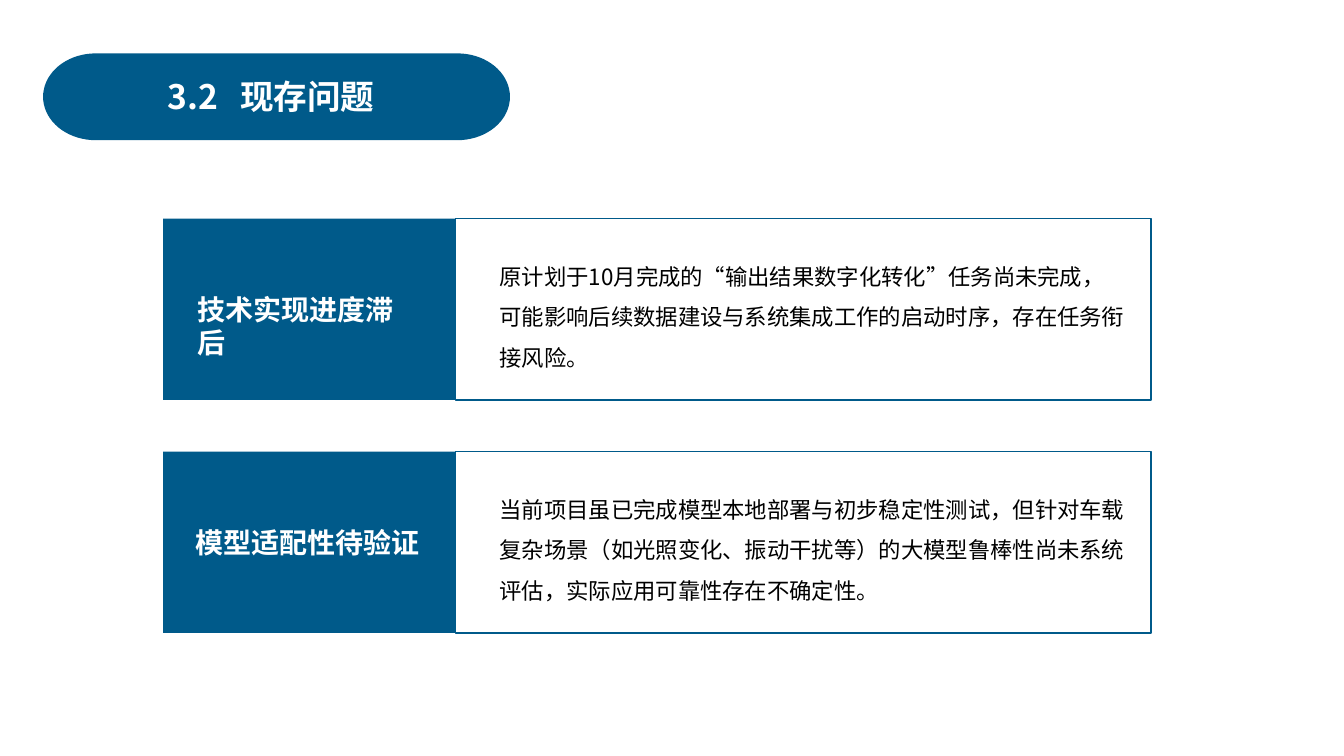
from dataclasses import dataclass
from math import cos, radians, sin

from lxml import etree
from pptx import Presentation
from pptx.dml.color import RGBColor
from pptx.enum.shapes import MSO_SHAPE
from pptx.enum.text import MSO_ANCHOR, MSO_AUTO_SIZE, PP_ALIGN
from pptx.oxml.ns import qn
from pptx.util import Cm, Pt

RECTANGLE = MSO_SHAPE.RECTANGLE
TOP = MSO_ANCHOR.TOP
LEFT = PP_ALIGN.LEFT
GROW = MSO_AUTO_SIZE.SHAPE_TO_FIT_TEXT


@dataclass(frozen=True)
class Theme:
    font: str = "Noto Sans CJK SC"
    blue: RGBColor = RGBColor(0x00, 0x5A, 0x8A)
    white: RGBColor = RGBColor(0xFF, 0xFF, 0xFF)
    black: RGBColor = RGBColor(0x00, 0x00, 0x00)
    title_size: int = 24
    label_size: int = 20
    body_size: int = 16


class SlideBuilder:
    def __init__(self, slide, theme):
        self.slide = slide
        self.theme = theme

    def paint(self, shape, fill, line=None, line_width=1):
        shape.shadow.inherit = False
        shape.fill.solid()
        shape.fill.fore_color.rgb = fill
        if line is None:
            shape.line.fill.background()
        else:
            shape.line.color.rgb = line
            shape.line.width = Pt(line_width)

    def panel(self, left, top, width, height, fill, line=None):
        shape = self.slide.shapes.add_shape(
            RECTANGLE, Cm(left), Cm(top), Cm(width), Cm(height))
        self.paint(shape, fill, line)

    def pill(self, left, top, width, height, end_width):
        """Bar whose two ends are half ellipses."""
        middle = top + height / 2
        points = []
        for center, start in ((left + width - end_width, -90),
                              (left + end_width, 90)):
            for angle in range(start, start + 181, 5):
                x = center + end_width * cos(radians(angle))
                y = middle + height / 2 * sin(radians(angle))
                points.append((Cm(x), Cm(y)))
        builder = self.slide.shapes.build_freeform(*points[0])
        builder.add_line_segments(points[1:], close=True)
        self.paint(builder.convert_to_shape(), self.theme.blue, self.theme.blue, 3)

    def text(self, left, top, width, height, words, size, color,
             bold=False, line_spacing=None, tab=None):
        box = self.slide.shapes.add_textbox(
            Cm(left), Cm(top), Cm(width), Cm(height))
        frame = box.text_frame
        frame_format = {"word_wrap": True, "auto_size": GROW,
                        "vertical_anchor": TOP}
        for name, value in frame_format.items():
            setattr(frame, name, value)
        paragraph = frame.paragraphs[0]
        paragraph.alignment = LEFT
        if line_spacing:
            paragraph.line_spacing = line_spacing
        if tab:
            properties = paragraph._p.get_or_add_pPr()
            tabs = etree.SubElement(properties, qn("a:tabLst"))
            etree.SubElement(tabs, qn("a:tab"), pos=str(Cm(tab)), algn="l")
        run = paragraph.add_run()
        run.text = words
        font_format = {"name": self.theme.font, "size": Pt(size), "bold": bold}
        for name, value in font_format.items():
            setattr(run.font, name, value)
        run.font.color.rgb = color
        # East Asian characters use the same typeface
        east_asian = etree.SubElement(run._r.get_or_add_rPr(), qn("a:ea"))
        east_asian.set("typeface", self.theme.font)


# Each problem: label, label left, label width, description
PROBLEMS = [
    ("技术实现进度滞后", 4.72, 6.14,
     "原计划于10月完成的“输出结果数字化转化”任务尚未完成，"
     "可能影响后续数据建设与系统集成工作的启动时序，存在任务衔接风险。"),
    ("模型适配性待验证", 4.67, 6.28,
     "当前项目虽已完成模型本地部署与初步稳定性测试，但针对车载复杂场景"
     "（如光照变化、振动干扰等）的大模型鲁棒性尚未系统评估，"
     "实际应用可靠性存在不确定性。"),
]
ROW_TOP, ROW_HEIGHT, ROW_PITCH = 5.51, 4.57, 5.87
LABEL_LEFT, LABEL_WIDTH, BODY_WIDTH = 4.11, 7.37, 17.53
BODY_LEFT = LABEL_LEFT + LABEL_WIDTH


def main():
    presentation = Presentation()
    presentation.slide_width = Cm(33.87)
    presentation.slide_height = Cm(19.05)
    slide = presentation.slides.add_slide(presentation.slide_layouts[6])
    theme = Theme()
    builder = SlideBuilder(slide, theme)

    # Section title
    builder.pill(1.14, 1.4, 11.66, 2.08, 1.27)
    builder.text(3.98, 1.8, 6.5, 1.27, "3.2\t现存问题",
                 theme.title_size, theme.white, bold=True, tab=1.82)

    # Problem rows
    for index, (label, left, width, description) in enumerate(PROBLEMS):
        top = ROW_TOP + index * ROW_PITCH
        builder.panel(LABEL_LEFT, top, LABEL_WIDTH, ROW_HEIGHT, theme.blue)
        builder.text(left, top + 1.73, width, 1.12, label,
                     theme.label_size, theme.white, bold=True)
        builder.panel(BODY_LEFT, top, BODY_WIDTH, ROW_HEIGHT,
                      theme.white, theme.blue)
        builder.text(BODY_LEFT + 0.86, top + 0.66, 16.28, 3.23, description,
                     theme.body_size, theme.black, line_spacing=1.5)

    presentation.save("out.pptx")


if __name__ == "__main__":
    main()
